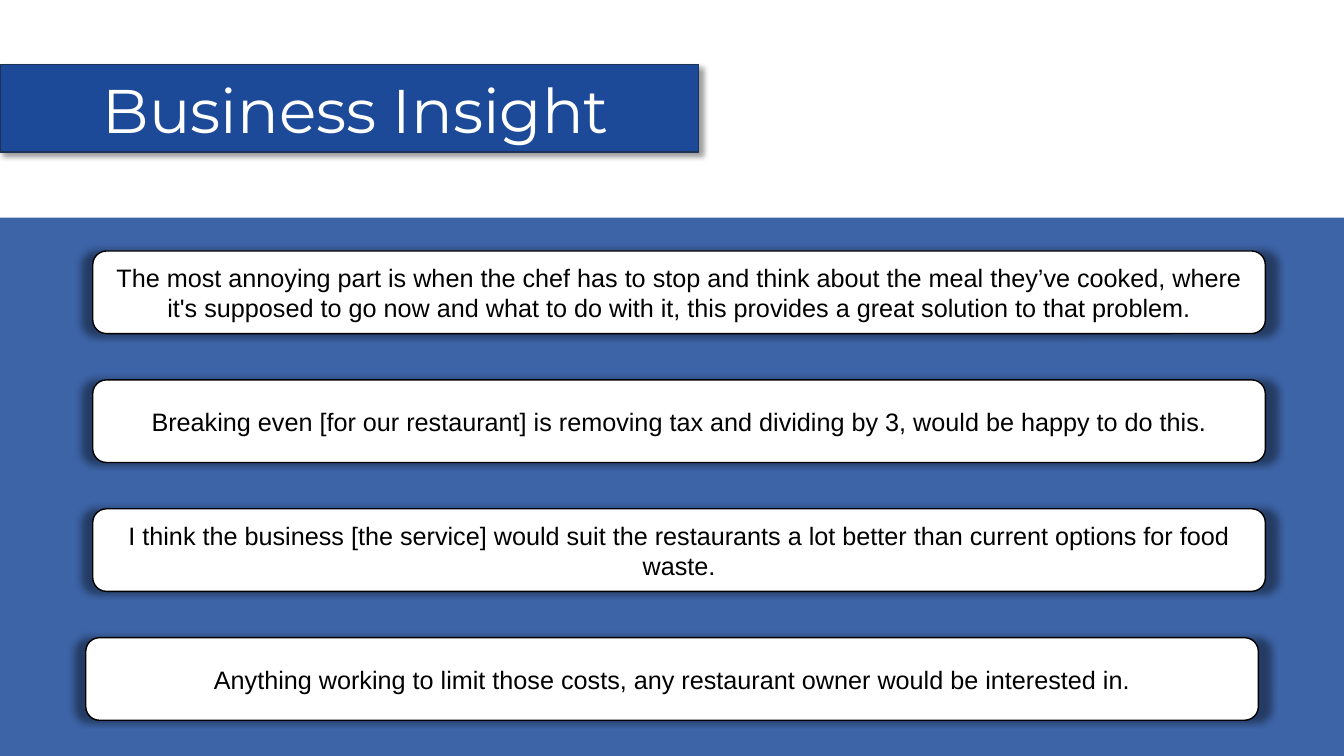
from dataclasses import dataclass

from lxml.etree import SubElement
from pptx import Presentation
from pptx.dml.color import RGBColor
from pptx.enum.shapes import MSO_SHAPE as Preset
from pptx.enum.text import MSO_ANCHOR as Anchor, MSO_AUTO_SIZE as AutoSize, PP_ALIGN as Align
from pptx.oxml.ns import qn
from pptx.util import Inches, Pt

SLIDE_W, SLIDE_H = Inches(13.33), Inches(7.5)


@dataclass(frozen=True)
class Theme:
    """Colours, fonts and type sizes of the slide."""
    blue: str = "1C4A98"
    banner_edge: str = "1E3256"
    white: str = "FFFFFF"
    black: str = "000000"
    title_font: str = "Montserrat"
    quote_font: str = "Arial"
    title_size: int = 44
    quote_size: int = 18


THEME = Theme()
TITLE = "Business Insight"
QUOTES = [
    "The most annoying part is when the chef has to stop and think about the meal they’ve cooked, "
    "where it's supposed to go now and what to do with it, this provides a great solution to that problem.",
    "Breaking even [for our restaurant] is removing tax and dividing by 3, would be happy to do this.",
    "I think the business [the service] would suit the restaurants a lot better than current options "
    "for food waste.",
    "Anything working to limit those costs, any restaurant owner would be interested in.",
]
QUOTE_LEFTS = [6.9, 6.9, 6.9, 6.38]
QUOTE_TOP, QUOTE_PITCH = 33.2, 17.05
QUOTE_W, QUOTE_H = 87.25, 10.93


def share(left, top, width, height):
    """Turn percentages of the slide into lengths."""
    return (int(SLIDE_W * left / 100), int(SLIDE_H * top / 100),
            int(SLIDE_W * width / 100), int(SLIDE_H * height / 100))


def add_panel(slide, preset, box, fill, edge=None):
    """Add a filled shape with an optional one-point outline."""
    panel = slide.shapes.add_shape(preset, *share(*box))
    panel.shadow.inherit = False
    panel.fill.solid()
    panel.fill.fore_color.rgb = RGBColor.from_string(fill)
    if edge:
        panel.line.color.rgb = RGBColor.from_string(edge)
        panel.line.width = Pt(1)
    else:
        panel.line.fill.background()
    return panel


def cast_shadow(panel, blur, distance=0, angle=0, scale=100, align="ctr"):
    """Give a panel a soft black outer shadow."""
    effects = panel.element.spPr.find(qn("a:effectLst"))
    shadow = SubElement(effects, qn("a:outerShdw"), blurRad=str(Pt(blur)), dist=str(Pt(distance)),
                        dir=str(angle * 60000), sx=str(scale * 1000), sy=str(scale * 1000),
                        algn=align, rotWithShape="0")
    colour = SubElement(shadow, qn("a:srgbClr"), val=THEME.black)
    SubElement(colour, qn("a:alpha"), val="40000")


def write(frame, text, font, size, colour, align):
    """Write one paragraph in the middle of a frame."""
    frame.text = text
    frame.word_wrap = True
    frame.auto_size = AutoSize.NONE
    frame.vertical_anchor = Anchor.MIDDLE
    paragraph = frame.paragraphs[0]
    paragraph.alignment = align
    for run in paragraph.runs:
        run.font.name = font
        run.font.size = Pt(size)
        run.font.color.rgb = RGBColor.from_string(colour)
    return paragraph


def add_title(slide):
    """Set the title on its banner."""
    banner = add_panel(slide, Preset.RECTANGLE, (0, 8.53, 52, 11.6), THEME.blue, THEME.banner_edge)
    cast_shadow(banner, blur=4, distance=3, angle=45, align="tl")
    title = slide.shapes.title
    title.element.addprevious(banner.element)
    title.left, title.top, title.width, title.height = share(6.9, 5.33, 86.27, 19.33)
    line = write(title.text_frame, TITLE, THEME.title_font, THEME.title_size, THEME.white, Align.LEFT)
    line.line_spacing = 0.9


def add_backdrop(slide):
    """Add the translucent blue field behind the quotes."""
    backdrop = add_panel(slide, Preset.RECTANGLE, (0, 28.8, 100, 71.2), THEME.blue)
    tint = backdrop.element.spPr.find(qn("a:solidFill")).find(qn("a:srgbClr"))
    SubElement(tint, qn("a:alpha"), val="85000")


def add_quote(slide, row, left, quote):
    """Add one quote card on its row."""
    box = (left, QUOTE_TOP + row * QUOTE_PITCH, QUOTE_W, QUOTE_H)
    card = add_panel(slide, Preset.ROUNDED_RECTANGLE, box, THEME.white, THEME.black)
    cast_shadow(card, blur=5, scale=102)
    write(card.text_frame, quote, THEME.quote_font, THEME.quote_size, THEME.black, Align.CENTER)


def main():
    """Build and save the slide."""
    deck = Presentation()
    deck.slide_width, deck.slide_height = SLIDE_W, SLIDE_H
    slide = deck.slides.add_slide(deck.slide_layouts.get_by_name("Title Only"))
    add_title(slide)
    add_backdrop(slide)
    for row, (left, quote) in enumerate(zip(QUOTE_LEFTS, QUOTES)):
        add_quote(slide, row, left, quote)
    deck.save("out.pptx")


if __name__ == "__main__":
    main()
